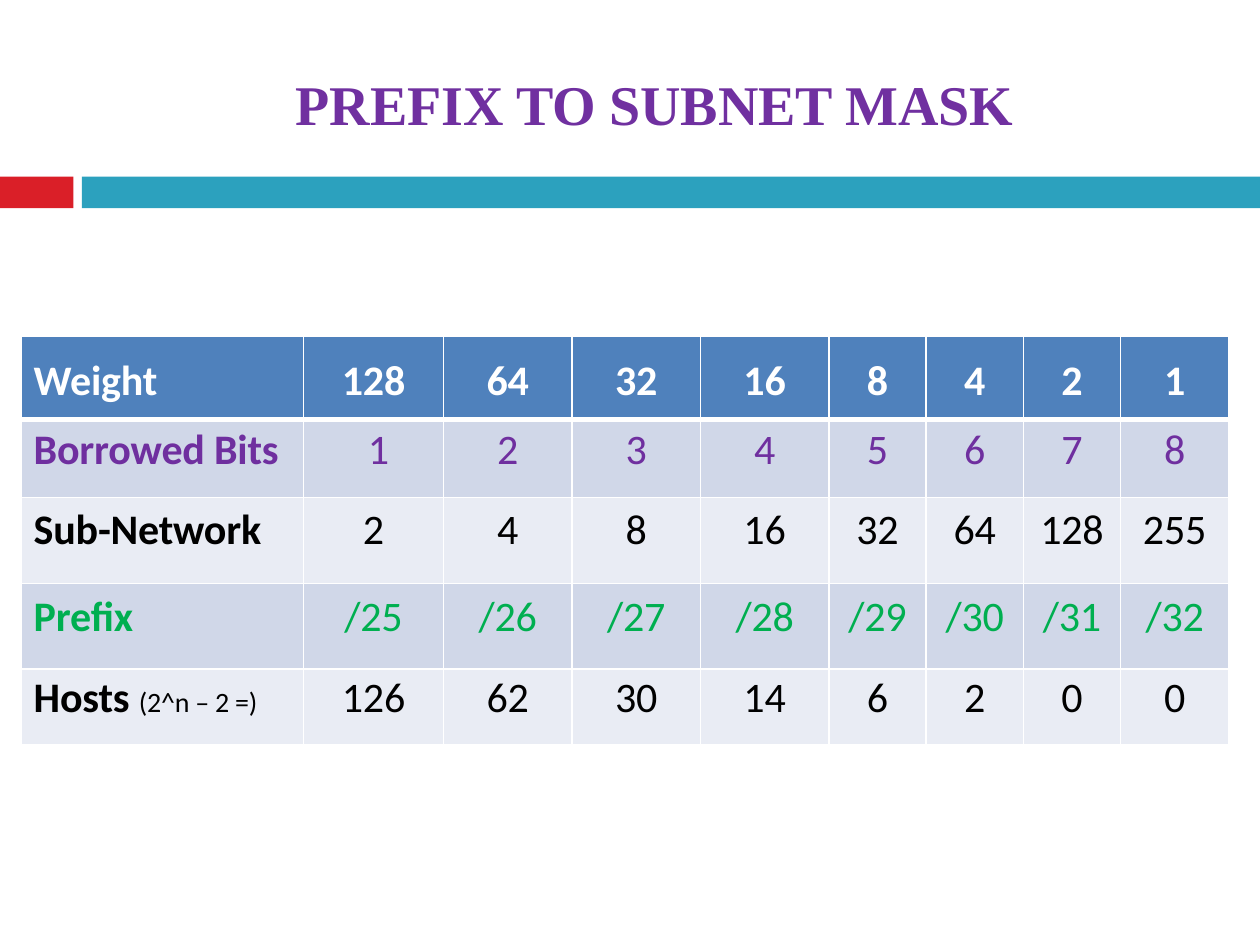
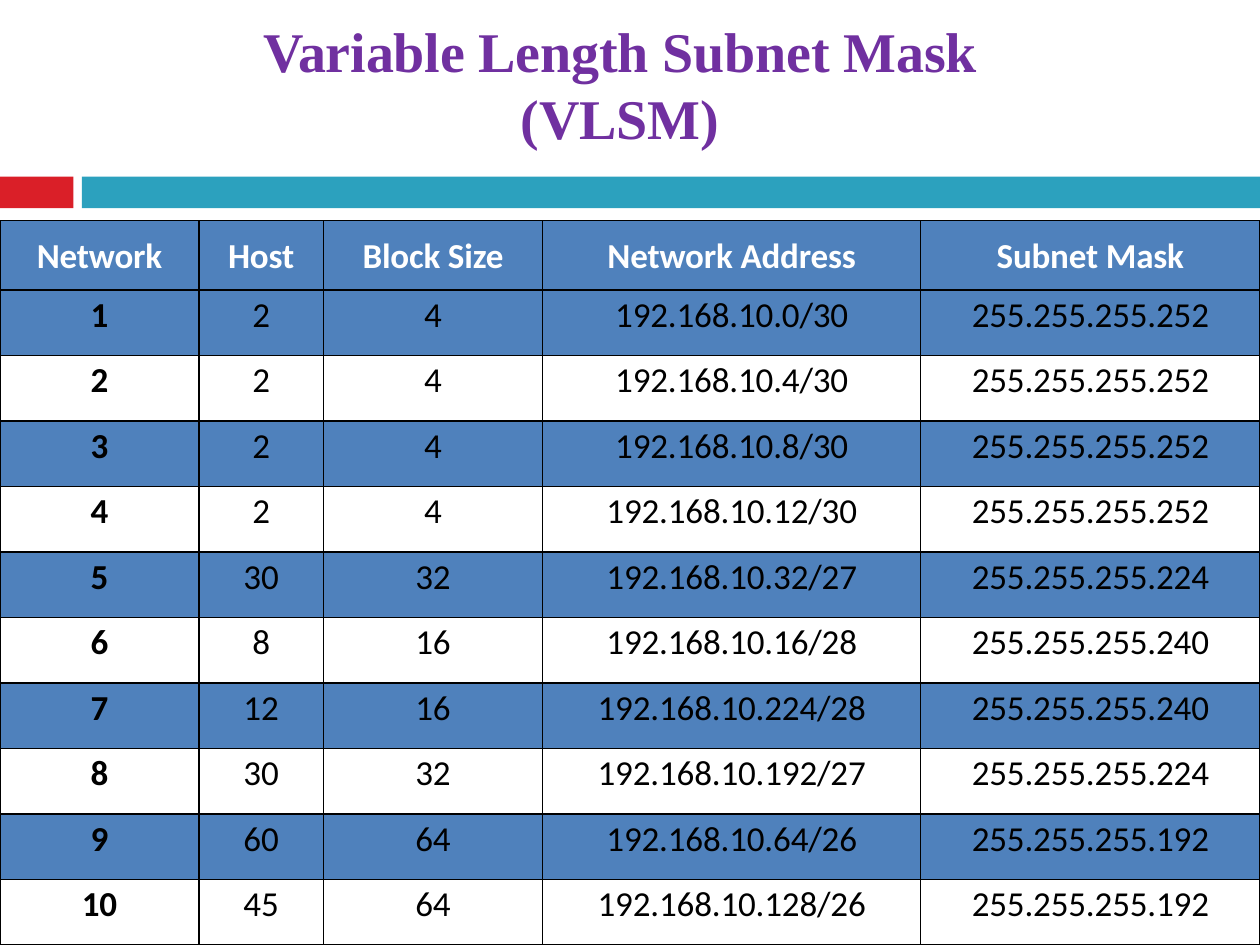
"""Build two slides on subnet prefixes and variable length masks."""
from dataclasses import dataclass

from lxml.etree import SubElement
from pptx import Presentation
from pptx.dml.color import RGBColor
from pptx.enum.shapes import MSO_SHAPE
from pptx.enum.text import MSO_AUTO_SIZE, PP_ALIGN
from pptx.oxml.ns import qn
from pptx.util import Cm, Pt


@dataclass(frozen=True)
class Theme:
    red: str = "DA1F28"
    teal: str = "2CA1BE"
    title: str = "7030A0"
    blue: str = "4F81BC"
    dark: str = "D0D7E8"
    light: str = "E9ECF4"
    plum: str = "6F2F9F"
    green: str = "00AF50"
    black: str = "000000"
    white: str = "FFFFFF"
    serif: str = "Times New Roman"
    sans: str = "Calibri"
    head: int = 32
    large: int = 24
    mid: int = 20
    small: int = 16


T = Theme()

BANDS = [(0, 1.48, T.red), (1.65, 23.75, T.teal)]

PREFIX = {
    "title": ["PREFIX TO SUBNET MASK"],
    "box": (5.64, 1.27, 15.11, 1.63),
    "wrap": False,
    "rows": [
        ["Weight", 128, 64, 32, 16, 8, 4, 2, 1],
        ["Borrowed Bits", 1, 2, 3, 4, 5, 6, 7, 8],
        ["Sub-Network", 2, 4, 8, 16, 32, 64, 128, 255],
        ["Prefix"] + [f"/{bits}" for bits in range(25, 33)],
        ["Hosts ", 126, 62, 30, 14, 6, 2, 0, 0],
    ],
    "notes": {(4, 0): "(2^n – 2 =)"},
    "at": (0.43, 6.78),
    "cols": [5.69, 2.82] + [2.59] * 3 + [1.96] * 3 + [2.18],
    "highs": [1.68, 1.57, 1.73, 1.73, 1.52],
    "tops": [0.39, 0.1, 0.15, 0.16, 0.07],
    "fills": [T.blue, T.dark, T.light, T.dark, T.light],
    "inks": [T.white, T.plum, T.black, T.green, T.black],
    "size": T.large,
    "pads": {(row, 0): 0.25 for row in range(5)} | {(1, 1): 0.2},
    "line": T.white,
    "rule": 3,
    "alpha": 100,
}

HOSTS = [
    (2, 4, "0/30", 252),
    (2, 4, "4/30", 252),
    (2, 4, "8/30", 252),
    (2, 4, "12/30", 252),
    (30, 32, "32/27", 224),
    (8, 16, "16/28", 240),
    (12, 16, "224/28", 240),
    (30, 32, "192/27", 224),
    (60, 64, "64/26", 192),
    (45, 64, "128/26", 192),
]

VLSM = {
    "title": ["Variable Length Subnet Mask", "(VLSM)"],
    "box": (4.88, 0.2, 15.24, 3),
    "wrap": True,
    "rows": [["Network", "Host", "Block Size", "Network Address", "Subnet Mask"]] + [
        [num, host, block, f"192.168.10.{end}", f"255.255.255.{mask}"]
        for num, (host, block, end, mask) in enumerate(HOSTS, 1)
    ],
    "notes": {},
    "at": (0, 4.45),
    "cols": [4.01, 2.51, 4.42, 7.62, 6.84],
    "highs": [1.4] + [1.32] * 10,
    "tops": [0.28] + [0.08] * 10,
    "fills": [T.blue] + [T.blue, None] * 5,
    "inks": [T.white] + [T.black] * 10,
    "size": T.mid,
    "pads": {},
    "line": T.black,
    "rule": 1,
    "alpha": 40,
}


def put(para, text, size=T.large, font=T.sans, ink=T.black, bold=False, align=PP_ALIGN.CENTER):
    para.alignment = align
    run = para.add_run()
    run.text = str(text)
    run.font.size = Pt(size)
    run.font.name = font
    run.font.bold = bold
    run.font.color.rgb = RGBColor.from_string(ink)
    run.font._element.set("spc", "-10")


def paint(fill, ink, alpha=100):
    if ink is None:
        fill.background()
        return
    fill.solid()
    fill.fore_color.rgb = RGBColor.from_string(ink)
    if alpha < 100:
        tint = fill._xPr.find(".//" + qn("a:srgbClr"))
        SubElement(tint, qn("a:alpha"), val=str(alpha * 1000))


def edge(cell, ink, top, base):
    props = cell._tc.get_or_add_tcPr()
    for side, wide in zip("LRTB", (1, 1, top, base)):
        line = SubElement(props, qn(f"a:ln{side}"), w=str(Pt(wide)))
        solid = SubElement(line, qn("a:solidFill"))
        SubElement(solid, qn("a:srgbClr"), val=ink)


def grid(slide, data):
    rows, cols = data["rows"], data["cols"]
    left, top = data["at"]
    spot = map(Cm, (left, top, sum(cols), sum(data["highs"])))
    table = slide.shapes.add_table(len(rows), len(cols), *spot).table
    table.horz_banding = False
    for col, wide in zip(table.columns, cols):
        col.width = Cm(wide)
    for r, row in enumerate(rows):
        table.rows[r].height = Cm(data["highs"][r])
        for c, text in enumerate(row):
            cell = table.cell(r, c)
            cell.margin_left = Cm(data["pads"].get((r, c), 0))
            cell.margin_right = cell.margin_bottom = 0
            cell.margin_top = Cm(data["tops"][r])
            edge(cell, data["line"], data["rule"] if r == 1 else 1, data["rule"] if r == 0 else 1)
            paint(cell.fill, data["fills"][r], data["alpha"] if r else 100)
            para = cell.text_frame.paragraphs[0]
            side = PP_ALIGN.LEFT if c == 0 and data["pads"] else PP_ALIGN.CENTER
            put(para, text, size=data["size"], ink=data["inks"][r], bold=r == 0 or c == 0, align=side)
            if (r, c) in data["notes"]:
                put(para, data["notes"][r, c], size=T.small, align=side)


def build(deck, data):
    slide = deck.slides.add_slide(deck.slide_layouts[6])
    for left, wide, ink in BANDS:
        band = slide.shapes.add_shape(MSO_SHAPE.RECTANGLE, Cm(left), Cm(3.56), Cm(wide), Cm(0.64))
        band.shadow.inherit = False
        paint(band.fill, ink)
        band.line.fill.background()
    grid(slide, data)
    frame = slide.shapes.add_textbox(*map(Cm, data["box"])).text_frame
    frame.word_wrap = data["wrap"]
    frame.auto_size = MSO_AUTO_SIZE.SHAPE_TO_FIT_TEXT
    for num, text in enumerate(data["title"]):
        para = frame.add_paragraph() if num else frame.paragraphs[0]
        put(para, text, size=T.head, font=T.serif, ink=T.title, bold=True)


def main():
    deck = Presentation()
    deck.slide_width, deck.slide_height = Cm(25.4), Cm(19.05)
    for data in (PREFIX, VLSM):
        build(deck, data)
    deck.save("out.pptx")


if __name__ == "__main__":
    main()
